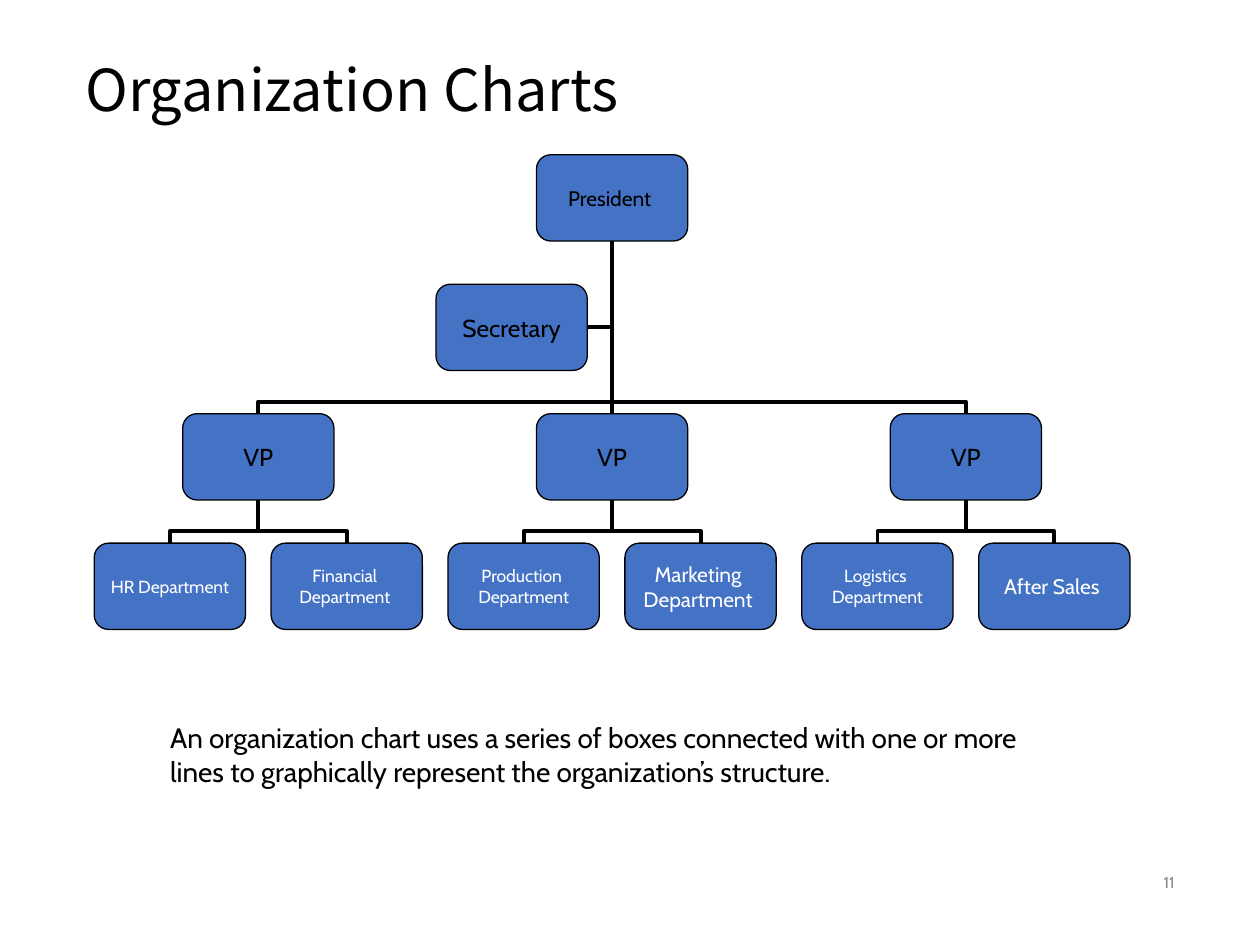
import pptx
import pptx.util
import pptx.dml.color
import pptx.enum.shapes
import pptx.enum.text
import pptx.oxml
import pptx.oxml.ns
from lxml import etree

Cm = pptx.util.Cm
Pt = pptx.util.Pt
KIND = pptx.enum.shapes.MSO_CONNECTOR
ALIGN = pptx.enum.text.PP_ALIGN
ANCHOR = pptx.enum.text.MSO_ANCHOR
HUES = {"ink": "000000", "box": "4472C4", "pale": "FFFFFF", "grey": "898989"}
WIDE, HIGH = 3.05, 1.74
STAFF = [
    ("HR Department", 10),
    ("Financial \nDepartment ", 10),
    ("Production \nDepartment", 10),
    ("Marketing \nDepartment ", 12),
    ("Logistics \nDepartment", 10),
    ("After Sales ", 12),
]


def tint(name):
    """Return the named colour."""
    return pptx.dml.color.RGBColor.from_string(HUES[name])


def apply(item, values):
    """Set each attribute of the item from a dict."""
    for key, value in values.items():
        setattr(item, key, value)


def write(shape, text, size, hue, frame, para, face="Cabin"):
    """Fill a shape with styled text."""
    apply(shape.text_frame, frame)
    shape.text_frame.text = text
    for line in shape.text_frame.paragraphs:
        apply(line, para)
        apply(line.font, {"size": Pt(size), "name": face})
        line.font.color.rgb = tint(hue)


def label(slide, box, text, size, hue, frame, para, face="Cabin"):
    """Place a wrapped text box."""
    shape = slide.shapes.add_textbox(*map(Cm, box))
    write(shape, text, size, hue, {"word_wrap": True, **frame}, para, face)


def node(slide, x, y, text, size, hue="ink"):
    """Draw one rounded box of the chart."""
    kind = pptx.enum.shapes.MSO_SHAPE.ROUNDED_RECTANGLE
    shape = slide.shapes.add_shape(kind, Cm(x), Cm(y), Cm(WIDE), Cm(HIGH))
    shape.shadow.inherit = False
    shape.fill.solid()
    shape.fill.fore_color.rgb = tint("box")
    shape.line.color.rgb = tint("ink")
    shape.line.width = Pt(0.75)
    sides = ("left", "right", "top", "bottom")
    frame = {f"margin_{side}": 0 for side in sides}
    frame.update(word_wrap=False, vertical_anchor=ANCHOR.MIDDLE)
    write(shape, text, size, hue, frame, {"alignment": ALIGN.CENTER})


def link(slide, x1, y1, x2, y2, kind=KIND.STRAIGHT):
    """Draw a heavy connector."""
    line = slide.shapes.add_connector(kind, Cm(x1), Cm(y1), Cm(x2), Cm(y2))
    line.line.color.rgb = tint("ink")
    line.line.width = Pt(2.25)
    etree.SubElement(line._element.spPr, pptx.oxml.ns.qn("a:effectLst"))
    return line


def elbow(slide, x1, y1, x2, y2, bend=0.24):
    """Join a child top to a parent bottom, turning just above the child."""
    wide, high = abs(x2 - x1), y1 - y2
    left, top = (x1 + x2 - high) / 2, (y1 + y2 - wide) / 2
    line = link(slide, left, top, left + high, top + wide, KIND.ELBOW)
    turn = {"rot": "16200000", "flipV": "1"}
    if x1 < x2:
        turn = {"rot": "5400000", "flipH": "1", "flipV": "1"}
    frame = line._element.spPr.find(pptx.oxml.ns.qn("a:xfrm"))
    for key, value in turn.items():
        frame.set(key, value)
    guide = line._element.spPr.find(".//" + pptx.oxml.ns.qn("a:avLst"))
    ratio = round(bend / high * 100000)
    etree.SubElement(guide, pptx.oxml.ns.qn("a:gd"), name="adj1", fmla=f"val {ratio}")


def chart(slide, x, y, wide, high):
    """Draw the organization chart inside its box."""
    step, drop = (wide - WIDE) / 5, (high - HIGH) / 3
    rows = [y + drop * row for row in range(4)]
    cols = [x + step * col for col in range(6)]
    heads = [x + step * (col + 0.5) for col in (0, 2, 4)]
    half, lead = WIDE / 2, heads[1]
    trunk, foot = lead + half, rows[0] + HIGH
    aide, level = trunk - 0.5 - WIDE, rows[1] + HIGH / 2

    link(slide, aide + WIDE, level, trunk, level)
    link(slide, trunk, rows[2], trunk, foot)
    for head in (heads[0], heads[2]):
        elbow(slide, head + half, rows[2], trunk, foot)
    for i, col in enumerate(cols):
        elbow(slide, col + half, rows[3], heads[i // 2] + half, rows[2] + HIGH)

    node(slide, lead, rows[0], "President ", 12)
    node(slide, aide, rows[1], "Secretary", 14)
    for head in heads:
        node(slide, head, rows[2], "VP", 14)
    for col, (text, size) in zip(cols, STAFF):
        node(slide, col, rows[3], text, size, "pale")


def main():
    """Build and save the slide."""
    deck = pptx.Presentation()
    apply(deck, {"slide_width": Cm(25.4), "slide_height": Cm(19.05)})
    slide = deck.slides.add_slide(deck.slide_layouts[6])
    middle = {"vertical_anchor": ANCHOR.MIDDLE}
    label(slide, (1.47, 1.07, 22.43, 1.6), "Organization Charts", 33, "ink",
          middle, {"line_spacing": 0.9}, "Noto Sans CJK SC")
    chart(slide, 1.9, 3.12, 20.88, 9.57)
    label(slide, (3.18, 14.4, 18.42, 1.63),
          "An organization chart uses a series of boxes connected with one or more "
          "lines to graphically represent the organization’s structure.",
          16, "ink", {}, {})
    label(slide, (17.78, 17.15, 6.15, 1.27), "11", 9, "grey",
          middle, {"alignment": ALIGN.RIGHT})
    deck.save("out.pptx")


if __name__ == "__main__":
    main()
